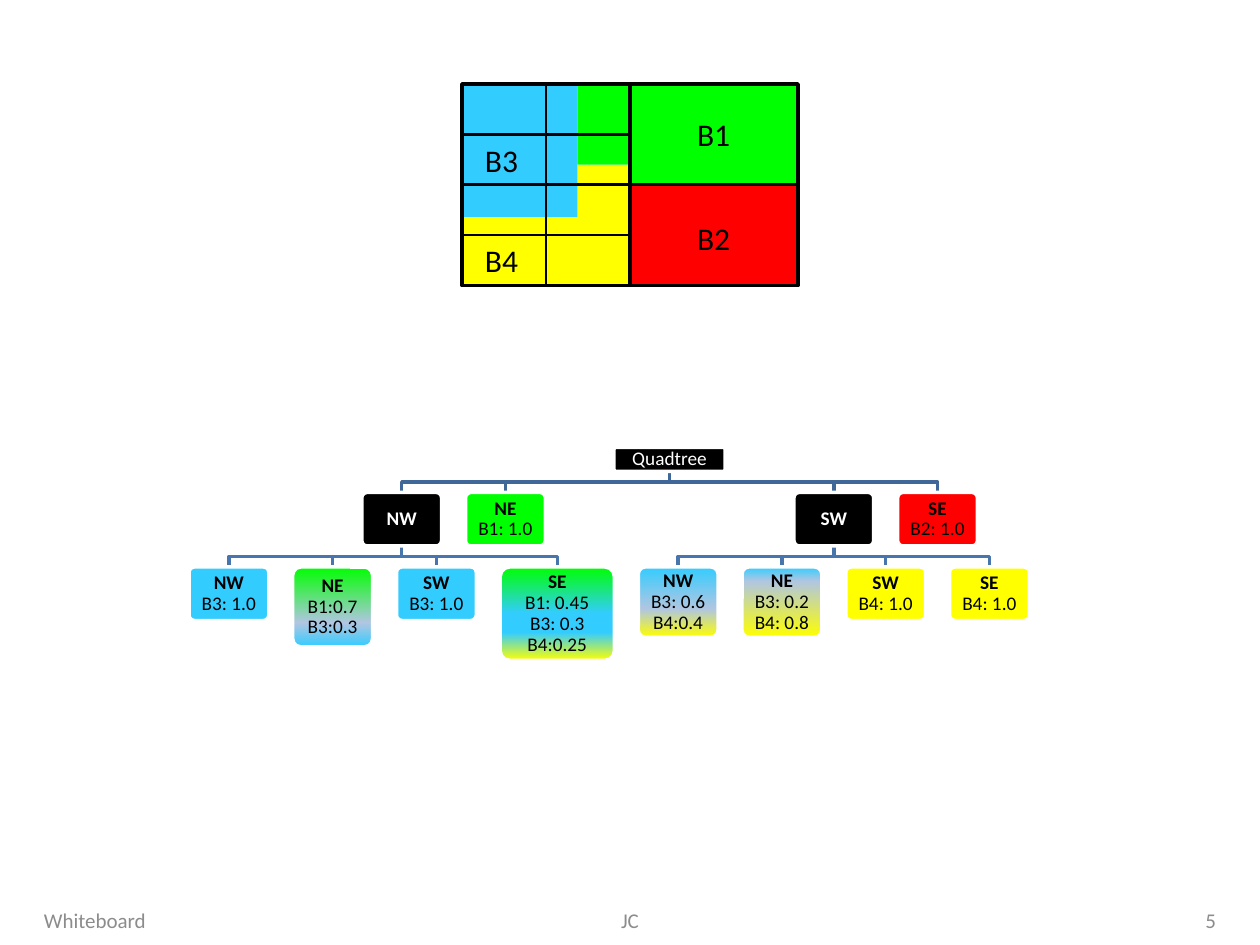
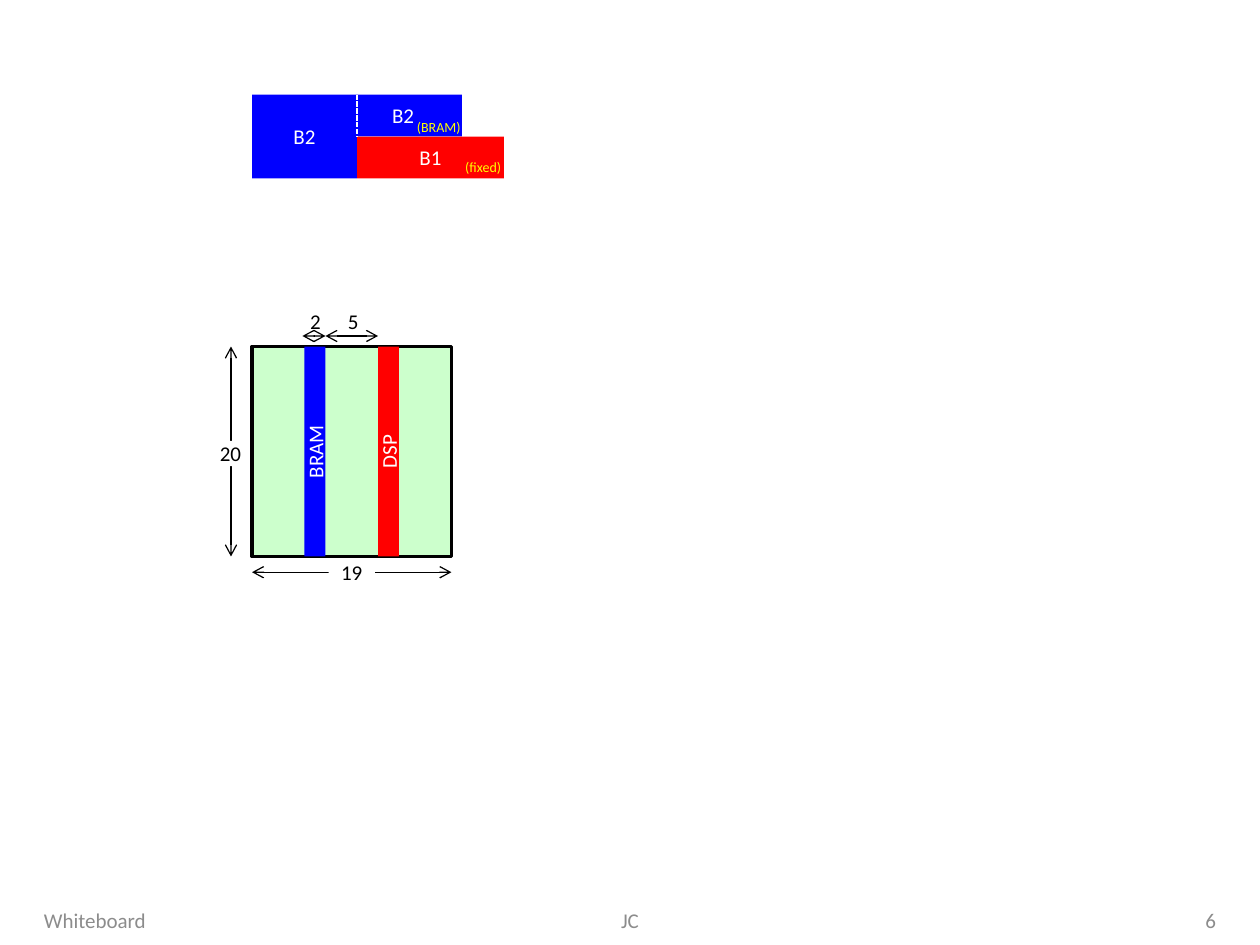
"""Build two whiteboard slides: a quadtree over a floorplan, and block placement on a device."""
from lxml.etree import SubElement
from pptx import Presentation
from pptx.dml.color import RGBColor
from pptx.enum.dml import MSO_LINE
from pptx.enum.shapes import MSO_CONNECTOR, MSO_SHAPE
from pptx.enum.text import MSO_ANCHOR, PP_ALIGN
from pptx.oxml.ns import qn
from pptx.util import Inches, Pt

BLACK = RGBColor(0x00, 0x00, 0x00)
WHITE = RGBColor(0xFF, 0xFF, 0xFF)
GREY = RGBColor(0x8C, 0x8C, 0x8C)
SKY = RGBColor(0x33, 0xCC, 0xFF)
GREEN = RGBColor(0x00, 0xFF, 0x00)
RED = RGBColor(0xFF, 0x00, 0x00)
YELLOW = RGBColor(0xFF, 0xFF, 0x00)
BLUE = RGBColor(0x00, 0x00, 0xFF)
MIST = RGBColor(0xB0, 0xC6, 0xE1)
MINT = RGBColor(0xCC, 0xFF, 0xCC)
UPPER_LINK = RGBColor(0x3F, 0x67, 0x97)
LOWER_LINK = RGBColor(0x48, 0x75, 0xAC)

CELL = Inches(1) // 12
LEFT, CENTER, RIGHT = PP_ALIGN.LEFT, PP_ALIGN.CENTER, PP_ALIGN.RIGHT
TOP, MIDDLE = MSO_ANCHOR.TOP, MSO_ANCHOR.MIDDLE


def add_box(slide, cells, text="", fill=None, line=None, outline=2, rounded=False,
            size=12, color=BLACK, lead=None, align=CENTER, anchor=MIDDLE,
            margins=(1.2, 0.6, 1.2, 0.6), wrap=True, spacing=None, upright=False):
    """Place a box on the grid; fill is a colour or gradient stops, lead is bold."""
    place = [round(cell * CELL) for cell in cells]
    if fill is None and line is None:
        shape = slide.shapes.add_textbox(*place)
    else:
        kind = MSO_SHAPE.ROUNDED_RECTANGLE if rounded else MSO_SHAPE.RECTANGLE
        shape = slide.shapes.add_shape(kind, *place)
        shape.shadow.inherit = False
        if rounded:
            shape.adjustments[0] = 0.1
        if fill is None:
            shape.fill.background()
        elif isinstance(fill, RGBColor):
            shape.fill.solid()
            shape.fill.fore_color.rgb = fill
        else:
            shape.fill.gradient()
            shape.fill.gradient_angle = 270
            stops = shape._element.spPr.find(qn("a:gradFill")).find(qn("a:gsLst"))
            for stop in list(stops):
                stops.remove(stop)
            for percent, tint in fill:
                stop = SubElement(stops, qn("a:gs"), pos=str(percent * 1000))
                SubElement(stop, qn("a:srgbClr"), val=str(tint))
        if line is None:
            shape.line.fill.background()
        else:
            shape.line.color.rgb = line
            shape.line.width = Pt(outline)
    frame = shape.text_frame
    frame.word_wrap = wrap
    frame.vertical_anchor = anchor
    (frame.margin_left, frame.margin_top,
     frame.margin_right, frame.margin_bottom) = [round(m * CELL) for m in margins]
    if upright:
        frame._txBody.bodyPr.set("vert", "vert270")
    paragraph = frame.paragraphs[0]
    paragraph.alignment = align
    if spacing:
        paragraph.line_spacing = spacing
    rows = [(lead, True)] if lead else []
    rows += [(row, False) for row in text.split("\n") if row]
    for index, (row, bold) in enumerate(rows):
        if index:
            paragraph.add_line_break()
        run = paragraph.add_run()
        run.text = row
        run.font.name = "Calibri"
        run.font.size = Pt(size)
        run.font.bold = bold
        run.font.color.rgb = color


def add_line(slide, start, end, color=BLACK, width=0.75, dash=None, arrows=False):
    """Join two grid points with a straight line."""
    ends = [round(cell * CELL) for cell in (*start, *end)]
    connector = slide.shapes.add_connector(MSO_CONNECTOR.STRAIGHT, *ends)
    connector.line.color.rgb = color
    connector.line.width = Pt(width)
    if dash:
        connector.line.dash_style = dash
    if arrows:
        for tip in ("a:headEnd", "a:tailEnd"):
            SubElement(connector.line._get_or_add_ln(), qn(tip), type="arrow")
    SubElement(connector._element.spPr, qn("a:effectLst"))


deck = Presentation()
deck.slide_width, deck.slide_height = 120 * CELL, 90 * CELL
quadtree, device = [deck.slides.add_slide(deck.slide_layouts[6]) for _ in range(2)]

for number, slide in enumerate((quadtree, device), start=5):
    for left, width, footer, align in ((3, 28, "Whiteboard", LEFT), (41, 38, "JC", CENTER),
                                       (89, 28, str(number), RIGHT)):
        add_box(slide, (left, 85.2, width, 4.8), footer, color=GREY, align=align)

NODE_WIDTH, WIDE_NODE, NODE_HEIGHT, GAP = 7.6, 10.87, 5.1, 2.28
ROOT_WIDTH, ROOT_HEIGHT = 10.6, 2.3
ROOT_TOP, BRANCH_TOP, LEAF_TOP = 42.6, 46.9, 54
branches = [
    ("NW", ("NE", "B1: 1.0", GREEN), [
        ("NW", "B3: 1.0", SKY, NODE_WIDTH, NODE_HEIGHT),
        ("NE", "B1:0.7 B3:0.3", [(0, GREEN), (70, MIST), (100, SKY)], NODE_WIDTH, 7.6),
        ("SW", "B3: 1.0", SKY, NODE_WIDTH, NODE_HEIGHT),
        ("SE", "B1: 0.45\nB3: 0.3 B4:0.25",
         [(0, GREEN), (50, SKY), (70, SKY), (100, YELLOW)], WIDE_NODE, 8.9)]),
    ("SW", ("SE", "B2: 1.0", RED), [
        ("NW", "B3: 0.6 B4:0.4", [(0, SKY), (60, MIST), (100, YELLOW)], NODE_WIDTH, 6.7),
        ("NE", "B3: 0.2\nB4: 0.8", [(0, SKY), (20, MIST), (100, YELLOW)], NODE_WIDTH, 6.7),
        ("SW", "B4: 1.0", YELLOW, NODE_WIDTH, NODE_HEIGHT),
        ("SE", "B4: 1.0", YELLOW, NODE_WIDTH, NODE_HEIGHT)]),
]
nodes, links, branch_centers = [], [], []
cursor = 18
for branch, (sibling, sibling_share, sibling_fill), leaves in branches:
    first, leaf_centers = cursor, []
    for leaf, share, fill, width, height in leaves:
        nodes.append(((cursor, LEAF_TOP, width, height), leaf, share, fill, BLACK))
        leaf_centers.append(cursor + width / 2)
        cursor += width + GAP
    center = (first + cursor - GAP) / 2
    left = center - NODE_WIDTH / 2
    step = NODE_WIDTH + GAP
    nodes.append(((left, BRANCH_TOP, NODE_WIDTH, NODE_HEIGHT), branch, "", BLACK, WHITE))
    nodes.append(((left + step, BRANCH_TOP, NODE_WIDTH, NODE_HEIGHT),
                  sibling, sibling_share, sibling_fill, BLACK))
    branch_centers += [center, center + step]
    links += [(center, BRANCH_TOP + NODE_HEIGHT, x, LEAF_TOP, LOWER_LINK) for x in leaf_centers]
root_center = (branch_centers[0] + branch_centers[-1]) / 2
nodes.append(((root_center - ROOT_WIDTH / 2, ROOT_TOP, ROOT_WIDTH, ROOT_HEIGHT),
              None, "Quadtree", BLACK, WHITE))
links += [(root_center, ROOT_TOP + ROOT_HEIGHT, x, BRANCH_TOP, UPPER_LINK)
          for x in branch_centers]

for parent_x, parent_y, child_x, child_y, color in links:
    middle = (parent_y + child_y) / 2
    route = [(round(x * CELL), round(y * CELL)) for x, y in (
        (parent_x, parent_y), (parent_x, middle), (child_x, middle), (child_x, child_y))]
    builder = quadtree.shapes.build_freeform(*route[0])
    builder.add_line_segments(route[1:], close=False)
    link = builder.convert_to_shape()
    link.shadow.inherit = False
    link.fill.background()
    link.line.color.rgb = color
    link.line.width = Pt(2)
for cells, lead, share, fill, color in nodes:
    add_box(quadtree, cells, share, fill=fill, line=WHITE, rounded=True, size=11,
            color=color, lead=lead, margins=(0.6,) * 4, spacing=0.9)

PLAN_LEFT, PLAN_TOP, QUAD_WIDTH, QUAD_HEIGHT = 44, 8, 16, 9.6
plan_middle, plan_center = PLAN_TOP + QUAD_HEIGHT, PLAN_LEFT + QUAD_WIDTH
for cells, fill, line in (
        ((plan_center, plan_middle, QUAD_WIDTH, QUAD_HEIGHT), RED, BLACK),
        ((plan_center, PLAN_TOP, QUAD_WIDTH, QUAD_HEIGHT), GREEN, BLACK),
        ((PLAN_LEFT, 15.7, QUAD_WIDTH, 11.5), YELLOW, None),
        ((PLAN_LEFT, PLAN_TOP, 11, 12.7), SKY, None),
        ((PLAN_LEFT + 11, PLAN_TOP, 5, 7.7), GREEN, None)):
    add_box(quadtree, cells, fill=fill, line=line)
for left, top, block in ((65.2, 10.4, "B1"), (65.2, 20.3, "B2"),
                         (45, 12.8, "B3"), (45, 22.4, "B4")):
    add_box(quadtree, (left, top, 5.6, 4.8), block, size=18, align=LEFT, anchor=TOP, wrap=False)
for top in (PLAN_TOP, plan_middle):
    add_box(quadtree, (PLAN_LEFT, top, QUAD_WIDTH, QUAD_HEIGHT), line=BLACK)
    halfway_x, halfway_y = PLAN_LEFT + QUAD_WIDTH / 2, top + QUAD_HEIGHT / 2
    add_line(quadtree, (halfway_x, top), (halfway_x, top + QUAD_HEIGHT), width=1.5)
    add_line(quadtree, (PLAN_LEFT, halfway_y), (plan_center, halfway_y), width=1.5)

add_box(device, (24, 9, 10, 8), "B2", fill=BLUE, color=WHITE)
add_box(device, (34, 9, 10, 4), "B2", fill=BLUE, color=WHITE, margins=(1.2, 0.6, 2.4, 0.6))
add_box(device, (34, 13, 14, 4), "B1", fill=RED, color=WHITE)
add_line(device, (34, 9), (34, 13), color=WHITE, width=1, dash=MSO_LINE.SQUARE_DOT)
for cells, tag in (((44.3, 15.1, 3.5, 1.6), "(fixed)"), ((39.7, 11.3, 4.2, 1.6), "(BRAM)")):
    add_box(device, cells, tag, size=8, color=YELLOW, align=LEFT, anchor=TOP,
            margins=(0,) * 4, wrap=False)

CHIP_LEFT, CHIP_TOP, CHIP_WIDTH, CHIP_HEIGHT = 24, 33, 19, 20
chip_right, chip_bottom = CHIP_LEFT + CHIP_WIDTH, CHIP_TOP + CHIP_HEIGHT
add_box(device, (CHIP_LEFT, CHIP_TOP, CHIP_WIDTH, CHIP_HEIGHT), fill=MINT, line=BLACK)
for column, resource, fill in ((5, "BRAM", BLUE), (12, "DSP", RED)):
    add_box(device, (CHIP_LEFT + column, CHIP_TOP, 2, CHIP_HEIGHT), resource, fill=fill,
            color=WHITE, margins=(0,) * 4, upright=True)
for start, end, label, cells, backing in (
        ((CHIP_LEFT, 54.5), (chip_right, 54.5), "19", (31.3, 53.3, 4.4, 2.4), WHITE),
        ((22, CHIP_TOP), (22, chip_bottom), "20", (20.9, 42, 2.1, 2.4), WHITE),
        ((31, 32), (36, 32), "5", (33.1, 29.4, 1.1, 2.4), None),
        ((28.8, 32), (31, 32), "2", (29.5, 29.4, 1.1, 2.4), None)):
    add_line(device, start, end, arrows=True)
    add_box(device, cells, label, fill=backing, anchor=TOP, margins=(0,) * 4, wrap=False)

deck.save("out.pptx")
